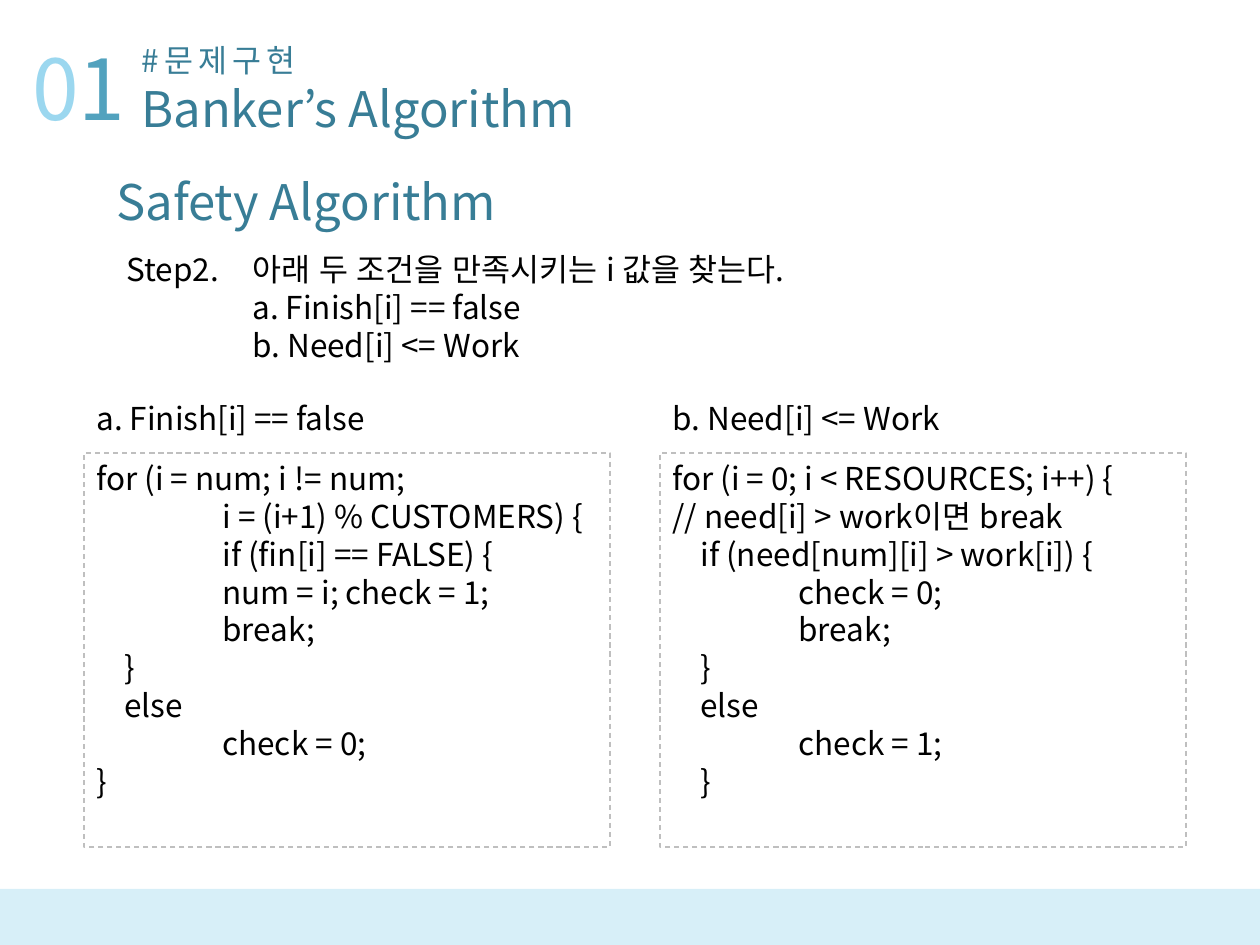
from pptx import Presentation
from pptx.dml.color import RGBColor
from pptx.enum.dml import MSO_LINE
from pptx.enum.lang import MSO_LANGUAGE_ID
from pptx.enum.shapes import MSO_SHAPE
from pptx.enum.text import MSO_ANCHOR, MSO_AUTO_SIZE, PP_ALIGN
from pptx.oxml.ns import qn
from pptx.util import Pt
from lxml.etree import Element, SubElement

PX = 914400 // 126
FONT = "Noto Sans CJK KR"
TEAL = RGBColor(0x38, 0x7D, 0x96)
SKY = RGBColor(0x9B, 0xD7, 0xEF)
BLUE = RGBColor(0x52, 0xA2, 0xBE)
BAND = RGBColor(0x55, 0xBC, 0xE3)
GREY = RGBColor(0xBF, 0xBF, 0xBF)
BLACK = RGBColor(0, 0, 0)
STEP = 28  # code indent in px
TAB = 126  # tab stop in px

# Each code line is (indent steps, text)
FINISH = [
    (0, "for (i = num; i != num;"),
    (0, "\ti = (i+1) % CUSTOMERS) {"),
    (0, "\tif (fin[i] == FALSE) {"),
    (0, "\tnum = i; check = 1;"),
    (0, "\tbreak;"),
    (1, "}"),
    (1, "else"),
    (0, "\tcheck = 0;"),
    (0, "}"),
]
NEED = [
    (0, "for (i = 0; i < RESOURCES; i++) {"),
    (0, "// need[i] > work이면 break"),
    (1, "if (need[num][i] > work[i]) {"),
    (0, "\tcheck = 0;"),
    (0, "\tbreak;"),
    (1, "}"),
    (1, "else"),
    (0, "\tcheck = 1;"),
    (1, "}"),
]


def place(*box):
    return [n * PX for n in box]


def style(para, size, color=None, gap=0):
    """Set font, size, colour and letter spacing of a paragraph."""
    para.alignment = PP_ALIGN.LEFT
    font = para.font
    font.name, font.size = FONT, Pt(size)
    font.language_id = MSO_LANGUAGE_ID.KOREAN
    if color is not None:
        font.color.rgb = color
    props = para._p.pPr.find(qn("a:defRPr"))
    if gap:
        props.set("spc", str(int(gap * 100)))
    SubElement(props, qn("a:ea")).set("typeface", FONT)


def add_tab(para):
    """Give a paragraph one left tab stop."""
    tabs = Element(qn("a:tabLst"))
    stop = SubElement(tabs, qn("a:tab"))
    stop.set("pos", str(TAB * PX))
    stop.set("algn", "l")
    para._p.pPr.find(qn("a:defRPr")).addprevious(tabs)


def add_line(frame, text, size, color, gap=0, first=False):
    para = frame.paragraphs[0] if first else frame.add_paragraph()
    para.text = text
    style(para, size, color, gap)
    if "\t" in text:
        add_tab(para)
    return para


def add_text(slide, box, lines, wrap=True):
    """Add a text box; each line is (text, size, colour, spacing)."""
    frame = slide.shapes.add_textbox(*place(*box)).text_frame
    frame.word_wrap = wrap
    frame.auto_size = MSO_AUTO_SIZE.SHAPE_TO_FIT_TEXT
    for i, line in enumerate(lines):
        add_line(frame, *line, first=i == 0)


def add_number(slide, box, digits):
    """Add the section number, one colour per digit."""
    frame = slide.shapes.add_textbox(*place(*box)).text_frame
    frame.word_wrap = True
    frame.auto_size = MSO_AUTO_SIZE.SHAPE_TO_FIT_TEXT
    para = frame.paragraphs[0]
    style(para, 48, gap=-1.5)
    for digit, color in digits:
        run = para.add_run()
        run.text = digit
        run.font.color.rgb = color


def add_rect(slide, box):
    shape = slide.shapes.add_shape(MSO_SHAPE.RECTANGLE, *place(*box))
    shape.shadow.inherit = False
    return shape


def add_band(slide, box):
    """Add the pale footer band."""
    band = add_rect(slide, box)
    band.fill.solid()
    band.fill.fore_color.rgb = BAND
    band.line.fill.background()
    tint = band._element.spPr.find(qn("a:solidFill"))[0]
    SubElement(tint, qn("a:alpha")).set("val", "23000")


def add_code(slide, left, width, title, lines):
    """Add a heading with a dashed code panel below it."""
    panel = add_rect(slide, (left, 453, 526, 394))
    panel.fill.background()
    panel.line.color.rgb = GREY
    panel.line.width = Pt(0.75)
    panel.line.dash_style = MSO_LINE.DASH
    frame = panel.text_frame
    frame.word_wrap = True
    frame.vertical_anchor = MSO_ANCHOR.TOP
    frame.auto_size = MSO_AUTO_SIZE.SHAPE_TO_FIT_TEXT
    for i, (depth, text) in enumerate(lines):
        para = add_line(frame, text, 18, BLACK, first=i == 0)
        if depth:
            para._p.pPr.set("marL", str(depth * STEP * PX))
    add_text(slide, (left, 393, width, 50), [(title, 18, BLACK)], wrap=False)


def main():
    deck = Presentation()
    deck.slide_width, deck.slide_height = place(1260, 945)
    slide = deck.slides.add_slide(deck.slide_layouts[6])

    # Header
    add_text(slide, (129, 35, 799, 111), [
        ("#문제구현", 18, TEAL, 3),
        ("Banker’s Algorithm", 28, TEAL),
    ])
    add_number(slide, (20, 30, 149, 115), [("0", SKY), ("1", BLUE)])
    add_band(slide, (0, 889, 1260, 56))

    # Step and its conditions
    add_text(slide, (104, 165, 735, 72), [("Safety Algorithm", 28, TEAL)])
    steps = [
        "Step2.\t아래 두 조건을 만족시키는 i 값을 찾는다.",
        "\ta. Finish[i] == false",
        "\tb. Need[i] <= Work",
    ]
    add_text(slide, (114, 244, 992, 127), [(s, 18, BLACK) for s in steps])

    # Code for each condition
    add_code(slide, 84, 301, "a. Finish[i] == false", FINISH)
    add_code(slide, 660, 310, "b. Need[i] <= Work", NEED)

    deck.save("out.pptx")


if __name__ == "__main__":
    main()
